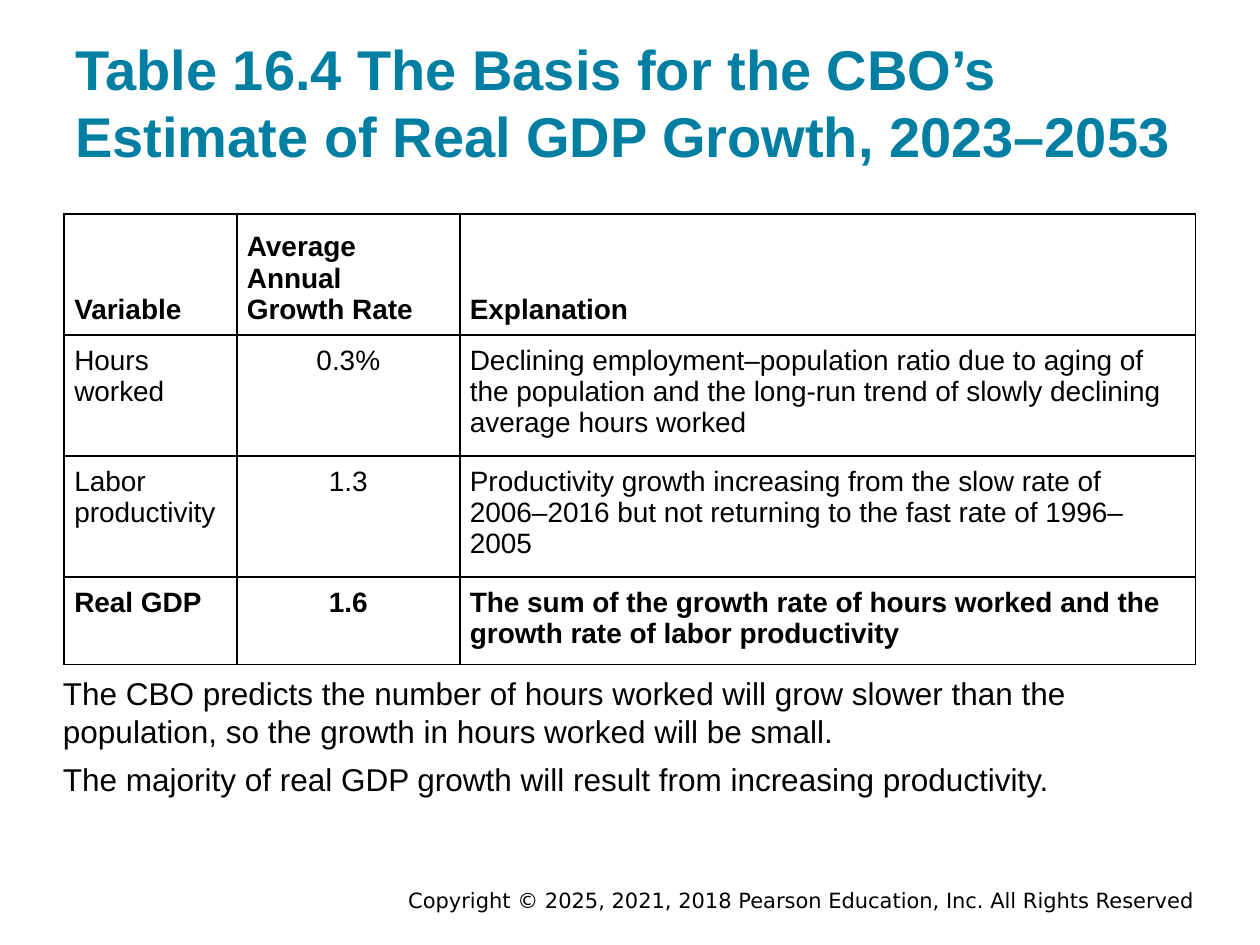
import pptx
import pptx.util
import pptx.dml.color
import pptx.enum.text
import pptx.oxml
import pptx.oxml.ns

Inches = pptx.util.Inches
ALIGN = pptx.enum.text.PP_ALIGN
ANCHOR = pptx.enum.text.MSO_ANCHOR

# Content
TITLE = "Table 16.4 The Basis for the CBO’s Estimate of Real GDP Growth, 2023–2053"
ROWS = [
    ("Variable", "Average Annual\nGrowth Rate", "Explanation"),
    ("Hours worked", "0.3%",
     "Declining employment–population ratio due to aging of the population "
     "and the long-run trend of slowly declining average hours worked"),
    ("Labor productivity", "1.3",
     "Productivity growth increasing from the slow rate of 2006–2016 "
     "but not returning to the fast rate of 1996–2005"),
    ("Real GDP", "1.6",
     "The sum of the growth rate of hours worked and the growth rate "
     "of labor productivity"),
]
COLUMN_WIDTHS = [1.37, 1.77, 5.84]
ROW_HEIGHTS = [0.57, 0.93, 0.8, 0.65]  # least heights; rows grow with their text
NOTES = (
    "The CBO predicts the number of hours worked will grow slower than the "
    "population, so the growth in hours worked will be small.\n"
    "The majority of real GDP growth will result from increasing productivity."
)
COPYRIGHT = "Copyright © 2025, 2021, 2018 Pearson Education, Inc. All Rights Reserved"

BLACK, TEAL = "000000", "007FA3"


def color(value):
    return pptx.dml.color.RGBColor.from_string(value)


def format_text(frame, size, fill=BLACK, bold=False, font="Arial",
                align=ALIGN.LEFT, gap=0):
    for number, para in enumerate(frame.paragraphs):
        para.alignment = align
        para.space_before = pptx.util.Pt(gap if number else 0)
        for span in para.runs:
            span.font.name = font
            span.font.size = pptx.util.Pt(size)
            span.font.bold = bold
            span.font.color.rgb = color(fill)


def add_text(page, text, place, insets, anchor, **style):
    box = page.shapes.add_textbox(*[Inches(length) for length in place])
    frame = box.text_frame
    frame.word_wrap = True
    frame.vertical_anchor = anchor
    frame.margin_left = frame.margin_right = Inches(insets[0])
    frame.margin_top = frame.margin_bottom = Inches(insets[1])
    frame.text = text
    format_text(frame, **style)


def add_borders(cell):
    properties = cell._tc.get_or_add_tcPr()
    for side in ("lnL", "lnR", "lnT", "lnB"):
        properties.append(pptx.oxml.parse_xml(
            f'<a:{side} {pptx.oxml.ns.nsdecls("a")} w="12700"><a:solidFill>'
            f'<a:srgbClr val="{BLACK}"/></a:solidFill></a:{side}>'))


def add_growth_table(page):
    place = (0.51, 1.7, sum(COLUMN_WIDTHS), sum(ROW_HEIGHTS))
    table = page.shapes.add_table(
        len(ROWS), len(COLUMN_WIDTHS), *[Inches(length) for length in place]).table
    table.horz_banding = False
    for column, width in zip(table.columns, COLUMN_WIDTHS):
        column.width = Inches(width)
    for row, height in zip(table.rows, ROW_HEIGHTS):
        row.height = Inches(height)

    for r, texts in enumerate(ROWS):
        header = r == 0
        for c, text in enumerate(texts):
            cell = table.cell(r, c)
            cell.text_frame.text = text
            cell.vertical_anchor = ANCHOR.BOTTOM if header else ANCHOR.TOP
            cell.margin_left = cell.margin_right = Inches(0.08)
            cell.margin_top = cell.margin_bottom = Inches(0.08)
            add_borders(cell)
            cell.fill.background()
            centred = c == 1 and not header
            format_text(cell.text_frame, 16, bold=r in (0, len(ROWS) - 1),
                        align=ALIGN.CENTER if centred else ALIGN.LEFT)


def main():
    deck = pptx.Presentation()
    deck.slide_width, deck.slide_height = Inches(10), Inches(7.5)
    page = deck.slides.add_slide(deck.slide_layouts[6])

    # Footer, title, table and notes
    add_text(page, COPYRIGHT, (1.75, 7.03, 7.83, 0.22), (0.1, 0.05), ANCHOR.MIDDLE,
             size=12, font="DejaVu Sans", align=ALIGN.RIGHT)
    add_text(page, TITLE, (0.5, 0.24, 9, 1.2), (0.1, 0.1), ANCHOR.BOTTOM,
             size=32, fill=TEAL, bold=True)
    add_growth_table(page)
    add_text(page, NOTES, (0.5, 5.35, 8.64, 1.24), (0, 0), ANCHOR.TOP,
             size=18, gap=6)

    deck.save("out.pptx")


if __name__ == "__main__":
    main()
